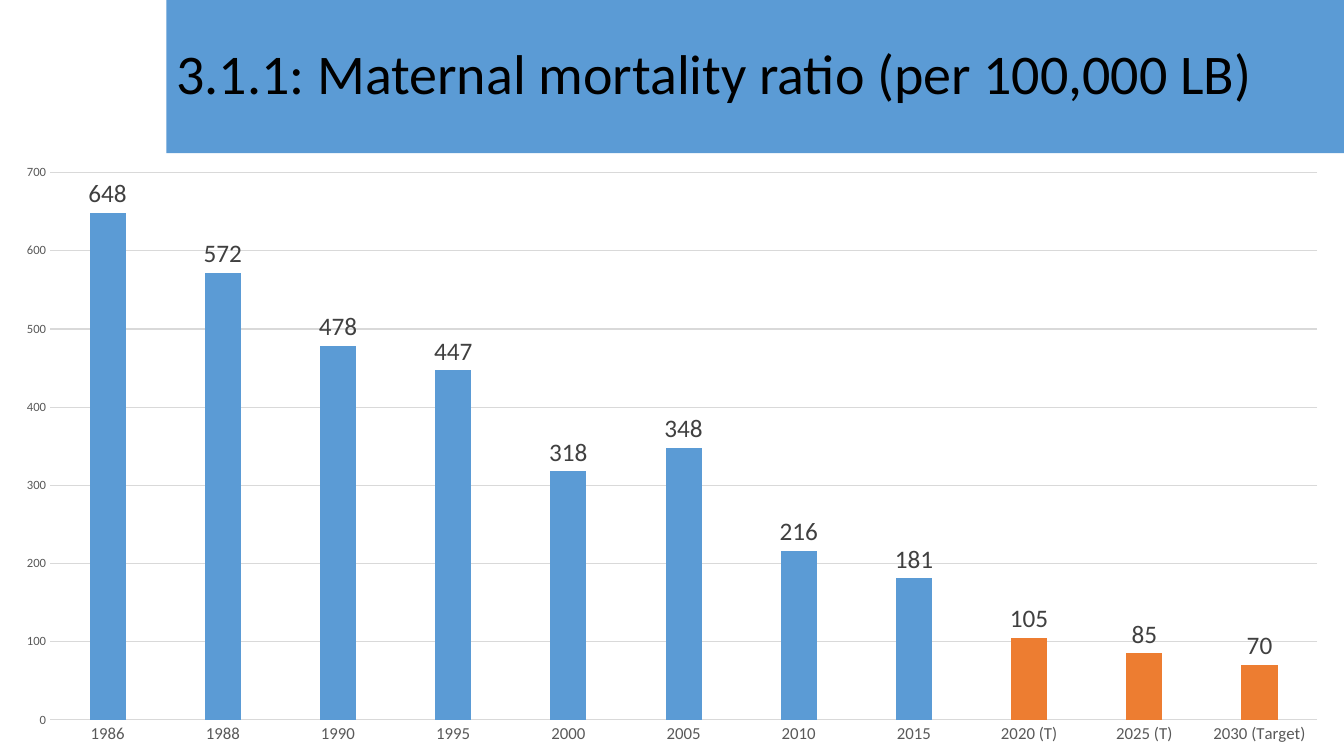
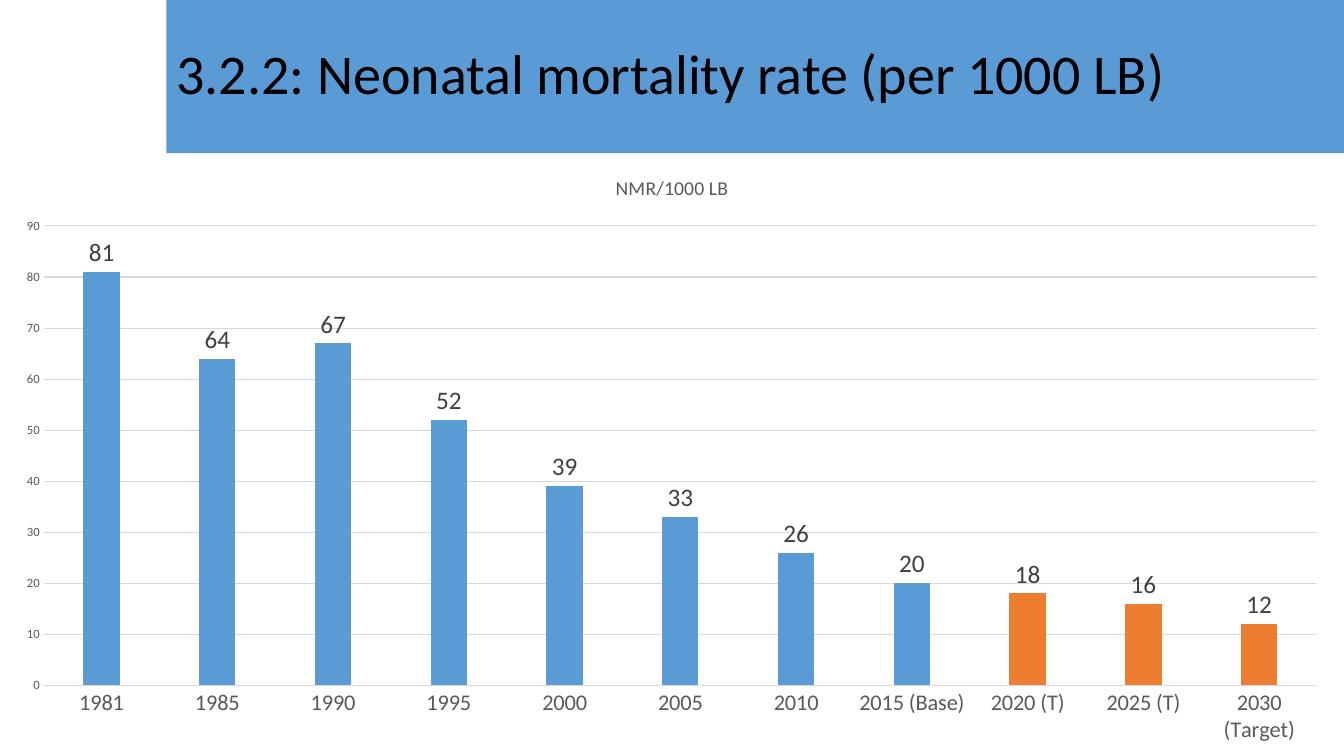
from dataclasses import dataclass

from pptx import Presentation
from pptx.chart.data import CategoryChartData
from pptx.dml.color import RGBColor
from pptx.enum.chart import XL_CHART_TYPE, XL_LABEL_POSITION, XL_TICK_MARK
from pptx.enum.dml import MSO_LINE
from pptx.enum.text import MSO_ANCHOR, MSO_AUTO_SIZE, PP_ALIGN
from pptx.util import Inches, Pt

COLUMN_CLUSTERED = XL_CHART_TYPE.COLUMN_CLUSTERED
OUTSIDE_END = XL_LABEL_POSITION.OUTSIDE_END
NO_TICK = XL_TICK_MARK.NONE
SOLID = MSO_LINE.SOLID
MIDDLE = MSO_ANCHOR.MIDDLE
NO_AUTOFIT = MSO_AUTO_SIZE.NONE
LEFT = PP_ALIGN.LEFT

COLORS = {
    "measured": "5B9BD5",
    "target": "ED7D31",
    "title": "000000",
    "axis": "595959",
    "label": "404040",
    "grid": "D9D9D9",
}
FONT_NAME = "Calibri"
SLIDE_WIDTH = 13.33
SLIDE_HEIGHT = 7.5
BAND_LEFT = 1.65
BAND_HEIGHT = 1.52
TITLE_ONLY_LAYOUT = 5
TARGET_COUNT = 3


@dataclass(frozen=True)
class Indicator:
    title: str
    values: dict[str, int]
    axis_maximum: int
    axis_step: int
    category_size: int
    chart_title: str = ""


INDICATORS = [
    Indicator(
        "3.1.1: Maternal mortality ratio (per 100,000 LB)",
        {
            "1986": 648, "1988": 572, "1990": 478, "1995": 447,
            "2000": 318, "2005": 348, "2010": 216, "2015": 181,
            "2020 (T)": 105, "2025 (T)": 85, "2030 (Target)": 70,
        },
        axis_maximum=700,
        axis_step=100,
        category_size=12,
    ),
    Indicator(
        "3.2.2: Neonatal mortality rate (per 1000 LB)",
        {
            "1981": 81, "1985": 64, "1990": 67, "1995": 52,
            "2000": 39, "2005": 33, "2010": 26, "2015 (Base)": 20,
            "2020 (T)": 18, "2025 (T)": 16, "2030 (Target)": 12,
        },
        axis_maximum=90,
        axis_step=10,
        category_size=16,
        chart_title="NMR/1000 LB",
    ),
]


def color(name: str) -> RGBColor:
    return RGBColor.from_string(COLORS[name])


def style_font(font, size: int, color_name: str) -> None:
    font.name = FONT_NAME
    font.size = Pt(size)
    font.bold = False
    font.color.rgb = color(color_name)


def style_line(line) -> None:
    line.color.rgb = color("grid")
    line.width = Pt(0.75)
    line.dash_style = SOLID


def fill_solid(fill, color_name: str) -> None:
    fill.solid()
    fill.fore_color.rgb = color(color_name)


def set_title(slide, text: str) -> None:
    title = slide.shapes.title
    title.left, title.top = Inches(BAND_LEFT), Inches(0)
    title.width = Inches(SLIDE_WIDTH - BAND_LEFT)
    title.height = Inches(BAND_HEIGHT)
    fill_solid(title.fill, "measured")
    frame = title.text_frame
    frame.word_wrap = True
    frame.auto_size = NO_AUTOFIT
    frame.vertical_anchor = MIDDLE
    paragraph = frame.paragraphs[0]
    paragraph.alignment = LEFT
    paragraph.line_spacing = 0.9
    run = paragraph.add_run()
    run.text = text
    style_font(run.font, 40, "title")


def style_axes(chart, indicator: Indicator) -> None:
    category_axis = chart.category_axis
    value_axis = chart.value_axis
    for axis, size in ((category_axis, indicator.category_size), (value_axis, 9)):
        axis.major_tick_mark = NO_TICK
        axis.minor_tick_mark = NO_TICK
        style_font(axis.tick_labels.font, size, "axis")
    style_line(category_axis.format.line)
    value_axis.format.line.fill.background()
    value_axis.minimum_scale = 0
    value_axis.maximum_scale = indicator.axis_maximum
    value_axis.major_unit = indicator.axis_step
    value_axis.has_major_gridlines = True
    style_line(value_axis.major_gridlines.format.line)


def style_columns(plot, count: int) -> None:
    plot.gap_width = 219
    plot.overlap = -27
    plot.vary_by_categories = False
    series = plot.series[0]
    series.invert_if_negative = False
    fill_solid(series.format.fill, "measured")
    for index in range(count - TARGET_COUNT, count):
        fill_solid(series.points[index].format.fill, "target")
    labels = series.data_labels
    labels.show_value = True
    labels.position = OUTSIDE_END
    style_font(labels.font, 18, "label")


def add_indicator_chart(slide, indicator: Indicator) -> None:
    data = CategoryChartData()
    data.categories = list(indicator.values)
    data.add_series("Series 1", list(indicator.values.values()))
    chart = slide.shapes.add_chart(
        COLUMN_CLUSTERED,
        Inches(0),
        Inches(BAND_HEIGHT),
        Inches(SLIDE_WIDTH),
        Inches(SLIDE_HEIGHT - BAND_HEIGHT),
        data,
    ).chart
    style_font(chart.font, 10, "title")
    chart.has_legend = False
    chart.has_title = bool(indicator.chart_title)
    if indicator.chart_title:
        chart.chart_title.include_in_layout = False
        run = chart.chart_title.text_frame.paragraphs[0].add_run()
        run.text = indicator.chart_title
        style_font(run.font, 14, "axis")
    style_axes(chart, indicator)
    style_columns(chart.plots[0], len(indicator.values))


def main() -> None:
    presentation = Presentation()
    presentation.slide_width = Inches(SLIDE_WIDTH)
    presentation.slide_height = Inches(SLIDE_HEIGHT)
    layout = presentation.slide_layouts[TITLE_ONLY_LAYOUT]
    for indicator in INDICATORS:
        slide = presentation.slides.add_slide(layout)
        set_title(slide, indicator.title)
        add_indicator_chart(slide, indicator)
    presentation.save("out.pptx")


if __name__ == "__main__":
    main()
